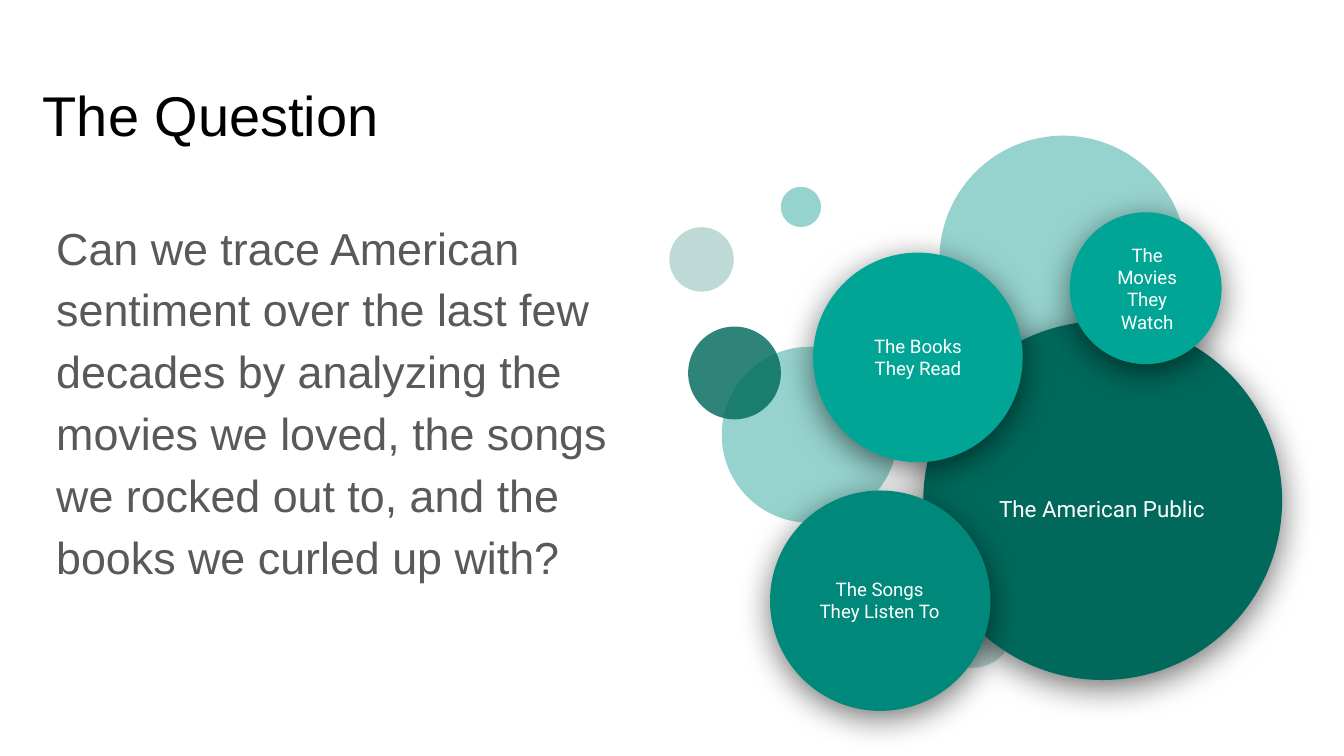
from lxml import etree
from pptx import Presentation
from pptx.dml.color import RGBColor
from pptx.enum.shapes import MSO_SHAPE
from pptx.enum.text import MSO_ANCHOR, PP_ALIGN
from pptx.oxml.ns import qn
from pptx.util import Pt

OVAL = MSO_SHAPE.OVAL
TOP, MIDDLE = MSO_ANCHOR.TOP, MSO_ANCHOR.MIDDLE
LEFT, CENTER = PP_ALIGN.LEFT, PP_ALIGN.CENTER

BLACK = RGBColor(0x00, 0x00, 0x00)
WHITE = RGBColor(0xFF, 0xFF, 0xFF)
GRAY = RGBColor(0x59, 0x59, 0x59)
DARK = RGBColor(0x00, 0x69, 0x5C)
DEEP = RGBColor(0x00, 0x89, 0x7B)
TEAL = RGBColor(0x00, 0x96, 0x88)
BRIGHT = RGBColor(0x00, 0xA5, 0x95)

PX = 4572
INSET = 20 * PX

prs = Presentation()
prs.slide_width, prs.slide_height = 2000 * PX, 1125 * PX
s = prs.slides.add_slide(prs.slide_layouts[6])


def add_circle(x, y, d, color):
    sp = s.shapes.add_shape(OVAL, x * PX, y * PX, d * PX, d * PX)
    sp.shadow.inherit = False
    sp.fill.solid()
    sp.fill.fore_color.rgb = color
    sp.line.fill.background()
    return sp


def add_text(box, text, font, anchor=TOP, para={}):
    tf = s.shapes.add_textbox(*[v * PX for v in box]).text_frame
    frame = {"word_wrap": True, "vertical_anchor": anchor}
    for side in ("left", "right", "top", "bottom"):
        frame["margin_" + side] = INSET
    p = tf.paragraphs[0]
    r = p.add_run()
    r.text = text
    name, size, color = font
    for obj, values in (
        (tf, frame),
        (p, para),
        (r.font, {"name": name, "size": Pt(size)}),
        (r.font.color, {"rgb": color}),
    ):
        for key, value in values.items():
            setattr(obj, key, value)


add_text((44, 100, 1864, 126), "The Question", ("Arial", 30, BLACK))
add_text(
    (64, 296, 872, 748),
    "Can we trace American sentiment over the last few decades by analyzing "
    "the movies we loved, the songs we rocked out to, and the books we curled up with?",
    ("Arial", 24, GRAY),
    para={"alignment": LEFT, "line_spacing": 1.15, "space_after": Pt(16)},
)

backdrop = [
    (1382, 866, 128, DARK, 25),
    (996, 338, 96, DARK, 25),
    (1074, 516, 262, TEAL, 41),
    (1398, 202, 368, TEAL, 41),
    (1024, 486, 138, DARK, 82),
    (1162, 278, 60, TEAL, 41),
]
for x, y, d, color, opacity in backdrop:
    sp = add_circle(x, y, d, color)
    clr = sp.fill._xPr.find(qn("a:solidFill"))[0]
    etree.SubElement(clr, qn("a:alpha"), val=str(opacity * 1000))

bubbles = [
    (1374, 478, 534, DARK, "The American Public", 12, (1436, 630, 408, 254)),
    (1210, 376, 312, BRIGHT, "The Books They Read", 10, (1260, 428, 212, 206)),
    (1146, 730, 328, DEEP, "The Songs They Listen To", 10, (1192, 790, 234, 206)),
    (1592, 316, 226, BRIGHT, "The Movies They Watch", 10, (1630, 354, 154, 150)),
]
for x, y, d, color, label, size, box in bubbles:
    sp = add_circle(x, y, d, color)
    effects = sp.fill._xPr.find(qn("a:effectLst"))
    shadow = etree.SubElement(
        effects, qn("a:outerShdw"), blurRad=str(Pt(18)), dist=str(Pt(4)),
        dir="5400000", algn="bl", rotWithShape="0",
    )
    clr = etree.SubElement(shadow, qn("a:srgbClr"), val=str(BLACK))
    etree.SubElement(clr, qn("a:alpha"), val="55000")
    add_text(box, label, ("Roboto", size, WHITE), MIDDLE, {"alignment": CENTER})

prs.save("out.pptx")
